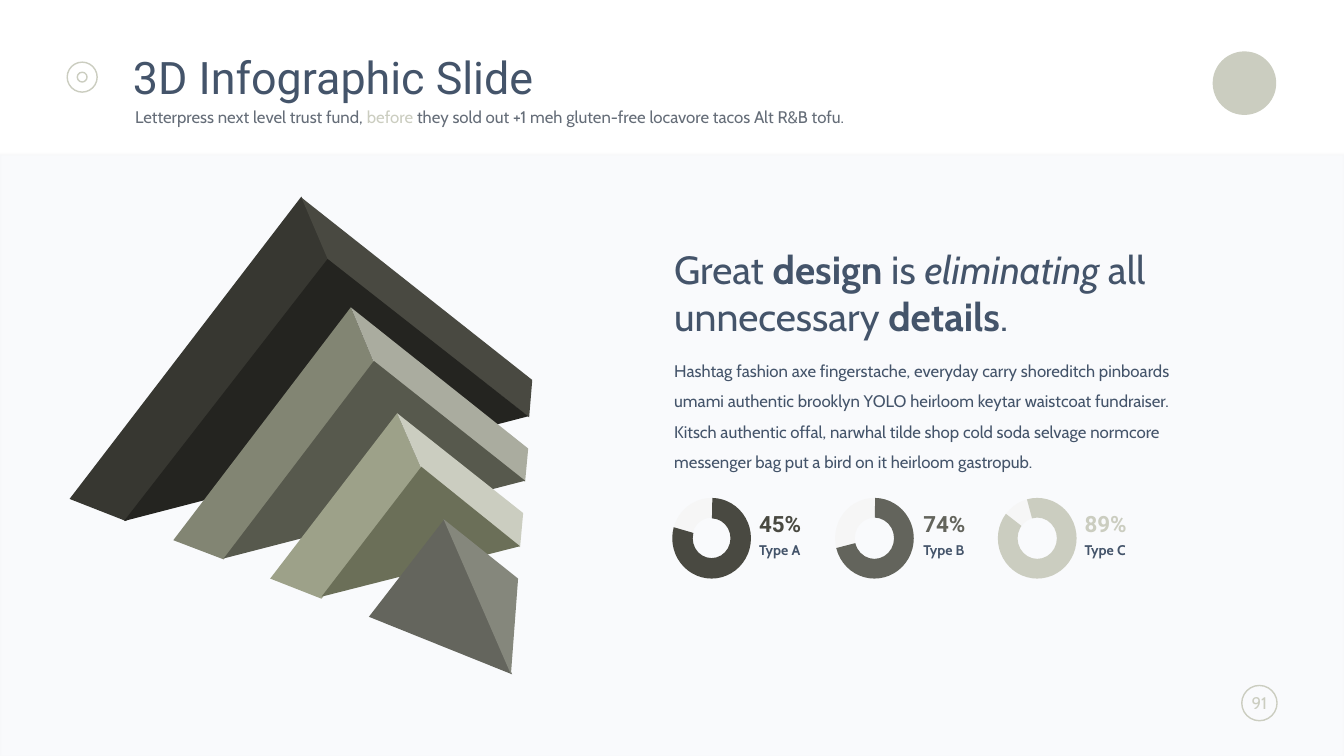
from dataclasses import dataclass

from lxml.etree import SubElement
from pptx import Presentation
from pptx.dml.color import RGBColor
from pptx.enum.shapes import MSO_SHAPE
from pptx.enum.text import MSO_ANCHOR, MSO_AUTO_SIZE, PP_ALIGN
from pptx.oxml.ns import qn
from pptx.util import Pt


@dataclass(frozen=True)
class Theme:
    navy: str = "44546A"
    gray: str = "656D78"
    sage: str = "CBCDC0"
    coal: str = "494941"
    stone: str = "63645C"
    pale: str = "F6F6F6"
    mist: str = "7B8DB3"
    edge: str = "EBEBEB"
    head: str = "Roboto"
    text: str = "Cabin"
    title: int = 32
    quote: int = 28
    value: int = 16
    body: int = 12
    label: int = 10


THEME = Theme()

LAYERS = (
    (
        ("373731", ((49.7, 356.4), (215.3, 140.4), (235.4, 185), (90, 372.2))),
        (THEME.coal, ((234.7, 186.5), (215.3, 141.1), (380.2, 271.4), (378, 298.1))),
        ("242420", ((88.6, 372.2), (234, 185), (377.3, 297.4))),
    ),
    (
        ("828573", ((123.8, 385.9), (250.6, 219.6), (267.1, 259.2), (159.8, 399.6))),
        ("AAAC9F", ((250.6, 219.6), (267.1, 259.2), (375.1, 344.2), (377.3, 320.4))),
        ("57594D", ((159.8, 398.9), (267.1, 257.8), (375.1, 343.4))),
    ),
    (
        ("9DA189", ((193, 413.3), (283.7, 295.2), (301, 334.8), (229.7, 427.7))),
        (THEME.sage, ((283.7, 295.2), (301, 334.8), (371.5, 391), (373.7, 366.5))),
        ("6B6F58", ((229.7, 426.2), (301, 333.4), (371.5, 390.2))),
    ),
    (
        ("64655D", ((317.5, 370.8), (263.5, 440.6), (365.8, 481.7))),
        ("85877C", ((316.8, 370.8), (365, 481.7), (370.1, 413.3))),
    ),
)

RINGS = (
    ("45%", "Type A", THEME.coal, 542.2, (162.64, 117.75, 0.26)),
    ("74%", "Type B", THEME.stone, 659.5, (162.64, 99.36, 0.25)),
    ("89%", "Type C", THEME.sage, 774.7, (153.14, 130.79, 0.25)),
)


def paint(shape, fill=None, line=None, width=1):
    shape.shadow.inherit = False
    if fill:
        shape.fill.solid()
        shape.fill.fore_color.rgb = RGBColor.from_string(fill)
    else:
        shape.fill.background()
    if line:
        shape.line.color.rgb = RGBColor.from_string(line)
        shape.line.width = Pt(width)
    else:
        shape.line.fill.background()
    return shape


def draw(shapes, kind, box, turn=(), **look):
    shape = shapes.add_shape(kind, *map(Pt, box))
    for spot, value in enumerate(turn):
        shape.adjustments[spot] = value
    return paint(shape, **look)


def fade(shape, *shares):
    for color, share in zip(shape.element.spPr.iter(qn("a:srgbClr")), shares):
        SubElement(color, qn("a:alpha")).set("val", str(share * 1000))


def place(shape, box):
    shape.left, shape.top, shape.width, shape.height = map(Pt, box)
    return shape


def write(shape, *runs, size, font=THEME.text, color=THEME.navy, bold=False,
          space=1.0, align=PP_ALIGN.LEFT, anchor=MSO_ANCHOR.TOP, inset=None):
    frame = shape.text_frame
    frame.word_wrap = True
    frame.auto_size = MSO_AUTO_SIZE.NONE
    frame.vertical_anchor = anchor
    if inset is not None:
        frame.margin_left = frame.margin_right = Pt(inset)
        frame.margin_top = frame.margin_bottom = Pt(inset)
    para = frame.paragraphs[0]
    props = para._p.get_or_add_pPr()
    props.set("marL", "0")
    props.set("indent", "0")
    SubElement(props, qn("a:buNone"))
    para.alignment = align
    para.line_spacing = space
    para.space_before = Pt(0)
    for item in runs:
        words, style = (item, {}) if isinstance(item, str) else item
        run = para.add_run()
        run.text = words
        run.font.name = font
        run.font.size = Pt(size)
        run.font.bold = style.get("bold", bold)
        run.font.italic = style.get("slant", False)
        run.font.color.rgb = RGBColor.from_string(style.get("color", color))


def note(shapes, box, *runs, **look):
    write(shapes.add_textbox(*map(Pt, box)), *runs, **look)


def face(shapes, color, points):
    first, *rest = [(Pt(x), Pt(y)) for x, y in points]
    form = shapes.build_freeform(*first)
    form.add_line_segments(rest)
    paint(form.convert_to_shape(), fill=color)


def ring(shapes, left, value, name, color, side, turn):
    box = (left, 355.7, 56.2, 57.6)
    draw(shapes, MSO_SHAPE.DONUT, box, fill=THEME.pale)
    draw(shapes, MSO_SHAPE.BLOCK_ARC, box, turn, fill=color)
    note(shapes, (side, 366.5, 35.3, 20.9), value, size=THEME.value,
         font=THEME.head, color=color, bold=True, space=0.9, inset=0)
    note(shapes, (side, 388.1, 35.3, 16.6), name, size=THEME.label,
         bold=True, space=0.9, inset=0)


def frame_up(shapes):
    draw(shapes, MSO_SHAPE.OVAL, (866.2, 36.7, 45.4, 45.4), fill=THEME.sage)
    band = draw(shapes, MSO_SHAPE.RECTANGLE, (0, 110.2, 960, 430.6),
                fill=THEME.mist, line=THEME.edge, width=2)
    fade(band, 4, 10)
    for size in (21.4, 7):
        draw(shapes, MSO_SHAPE.OVAL, (58.7 - size / 2, 55.1 - size / 2, size, size),
             line=THEME.sage)
    page = draw(shapes, MSO_SHAPE.ROUNDED_RECTANGLE, (887, 489.6, 25.2, 25.2),
                (0.5,), line=THEME.sage)
    write(page, "91", size=THEME.body, color=THEME.sage, align=PP_ALIGN.CENTER,
          anchor=MSO_ANCHOR.MIDDLE, inset=0)


def main():
    deck = Presentation()
    deck.slide_width, deck.slide_height = Pt(960), Pt(540)
    slide = deck.slides.add_slide(deck.slide_layouts[1])
    shapes = slide.shapes
    frame_up(shapes)
    write(place(shapes.title, (87.8, 36, 725, 38.2)), "3D Infographic Slide",
          size=THEME.title, font=THEME.head, space=0.9)
    write(place(slide.placeholders[1], (89.3, 74.2, 723.6, 20.9)),
          "Letterpress next level trust fund, ", ("before", {"color": THEME.sage}),
          " they sold out +1 meh gluten-free locavore tacos Alt R&B tofu.",
          size=THEME.body, color=THEME.gray, space=0.9)
    for layer in LAYERS:
        group = shapes.add_group_shape()
        for color, points in layer:
            face(group.shapes, color, points)
    note(shapes, (474.5, 171.4, 393.1, 74.9),
         "Great ", ("design", {"bold": True}), " is ", ("eliminating", {"slant": True}),
         " all unnecessary ", ("details", {"bold": True}), ".", size=THEME.quote)
    note(shapes, (474.5, 247, 383, 94.3),
         "Hashtag fashion axe fingerstache, everyday carry shoreditch pinboards umami "
         "authentic brooklyn YOLO heirloom keytar waistcoat fundraiser. Kitsch authentic "
         "offal, narwhal tilde shop cold soda selvage normcore messenger bag put a bird "
         "on it heirloom gastropub.", size=THEME.body, space=1.5)
    for spot, (value, name, color, side, turn) in enumerate(RINGS):
        group = shapes.add_group_shape()
        ring(group.shapes, 480.2 + 116.3 * spot, value, name, color, side, turn)
    deck.save("out.pptx")


if __name__ == "__main__":
    main()
